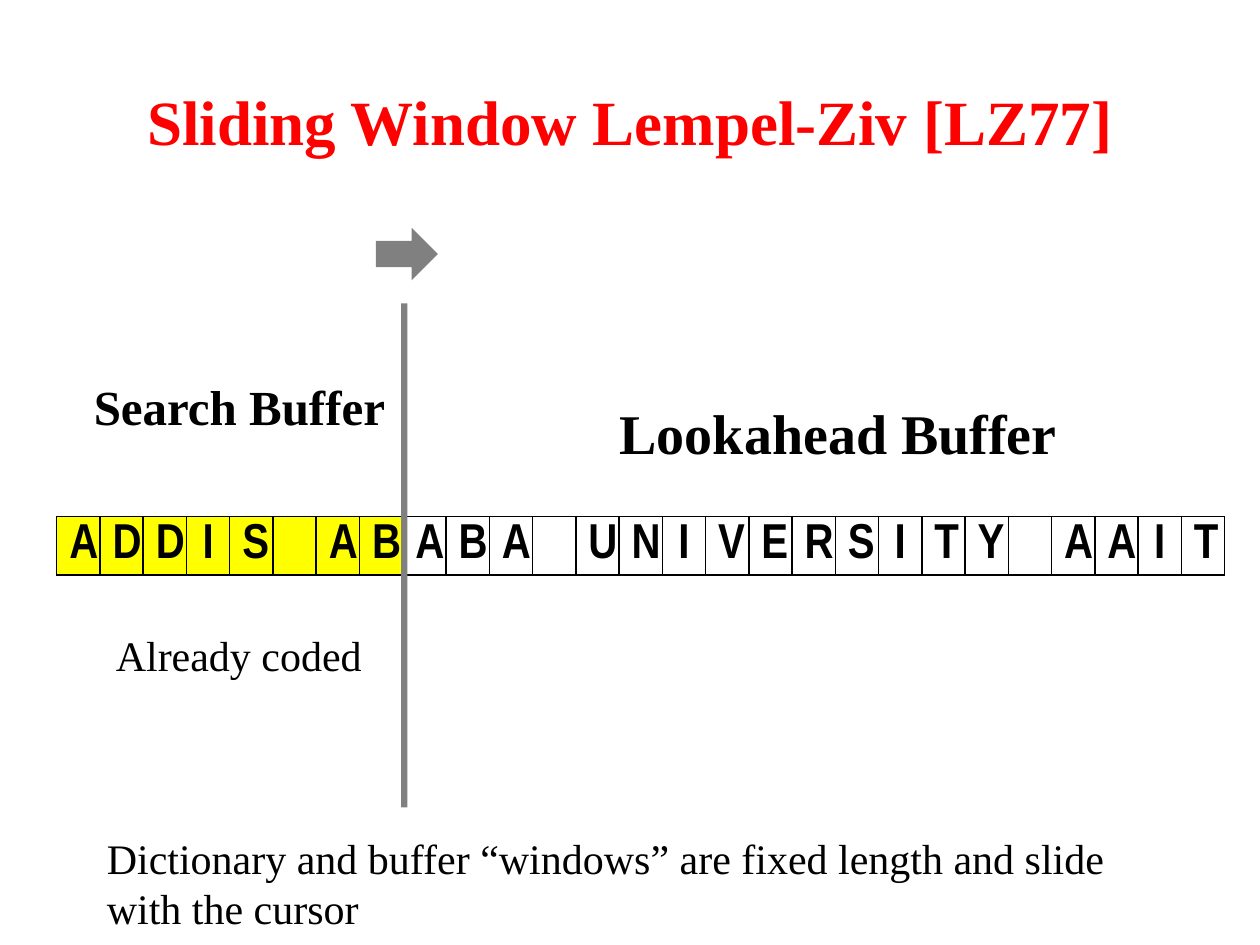
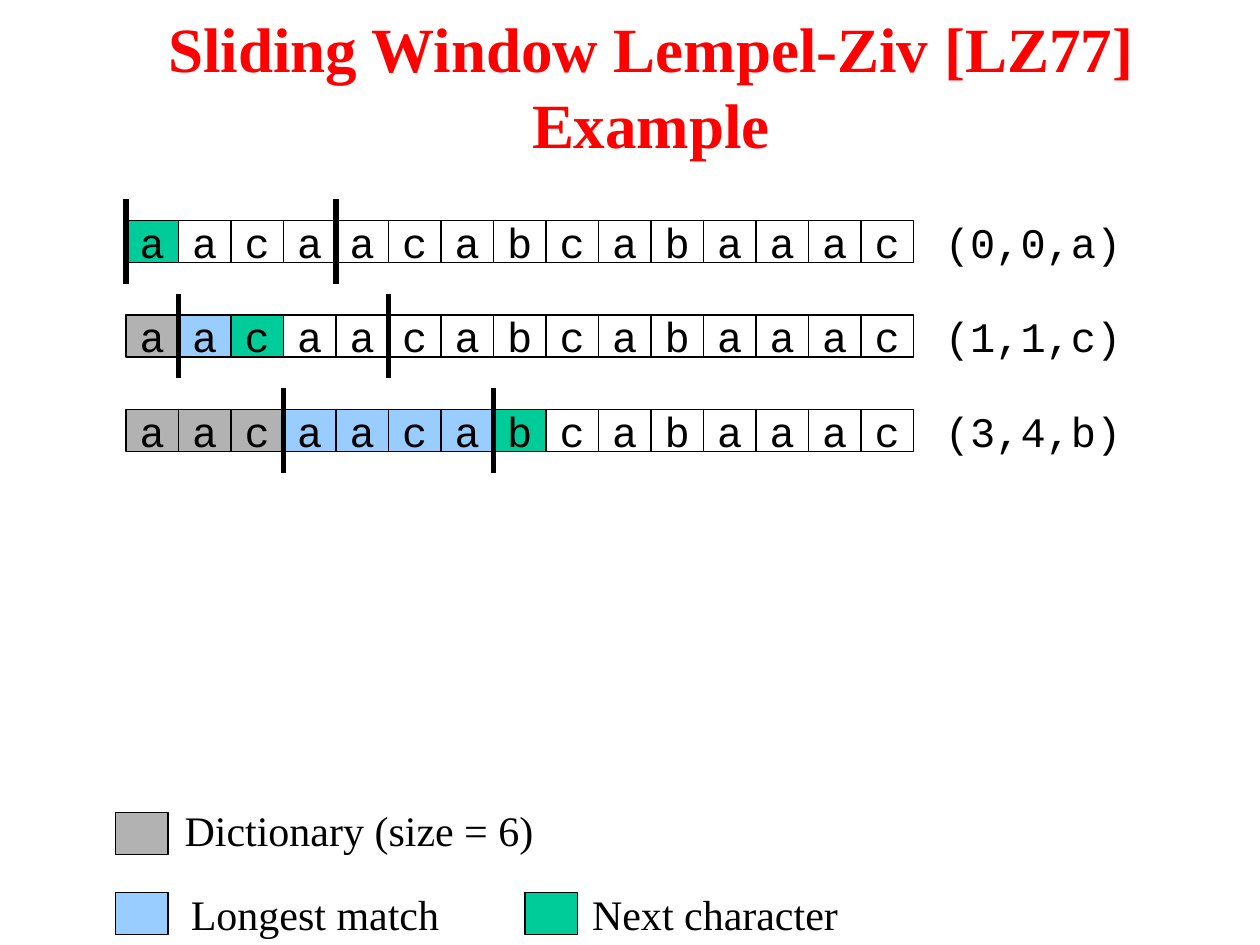
"""Build two slides on the sliding window Lempel-Ziv coder."""
from lxml import etree
from pptx import Presentation
from pptx.dml.color import RGBColor
from pptx.enum.shapes import MSO_CONNECTOR, MSO_SHAPE
from pptx.enum.text import MSO_ANCHOR, MSO_AUTO_SIZE, PP_ALIGN
from pptx.oxml.ns import qn
from pptx.util import Pt

RECT, ARROW = MSO_SHAPE.RECTANGLE, MSO_SHAPE.RIGHT_ARROW
LINE = MSO_CONNECTOR.STRAIGHT
LEFT, CENTER = PP_ALIGN.LEFT, PP_ALIGN.CENTER
MIDDLE = MSO_ANCHOR.MIDDLE
GROW, FIXED = MSO_AUTO_SIZE.SHAPE_TO_FIT_TEXT, MSO_AUTO_SIZE.NONE

BLACK = RGBColor(0, 0, 0)
WHITE = RGBColor(255, 255, 255)
RED = RGBColor(255, 0, 0)
YELLOW = RGBColor(255, 255, 0)
GRAY = RGBColor(128, 128, 128)
SILVER = RGBColor(178, 178, 178)
BLUE = RGBColor(153, 204, 255)
GREEN = RGBColor(0, 204, 153)
SERIF, NARROW, MONO = "Times New Roman", "Arial Narrow", "Courier New"

PX = 7620
WIDE, HIGH = 1200, 900

HEAD = "Sliding Window Lempel-Ziv [LZ77]"
STREAM = "ADDIS ABABA UNIVERSITY AAIT"
CODED = 8
STRIP = (54, 492, 1113, 55)
BAR = (382, 289, 6, 480)
CURSOR = (358, 217, 59, 50)
NOTES = [
    ("Lookahead Buffer", (544, 374, 509, 77), 32, True, CENTER),
    ("Search Buffer", (66, 353, 324, 68), 28, True, CENTER),
    ("Already coded", (86, 594, 283, 60), 24, False, CENTER),
    ("Dictionary and buffer “windows” are fixed length and slide with the cursor",
     (90, 787, 1042, 109), 24, False, LEFT),
]

INPUT = "aacaacabcabaaac"
STEPS = [(0, 0, "(0,0,a)"), (1, 1, "(1,1,c)"), (3, 4, "(3,4,b)")]
AHEAD = 4
CELL_W, CELL_H = 50, 40
GRID_X, GRID_Y, STEP_Y = 120, 210, 90
KEYS = [
    (SILVER, (110, 774), "Dictionary (size = 6)", (152, 760, 380, 60)),
    (BLUE, (110, 850), "Longest match", (160, 840, 280, 60)),
    (GREEN, (500, 850), "Next character", (551, 840, 260, 60)),
]


def emu(box):
    return [round(v * PX) for v in box]


def put(para, text, size, font=SERIF, color=BLACK, bold=False, align=CENTER):
    para.alignment = align
    run = para.add_run()
    run.text = text
    face = run.font
    face.size, face.name, face.bold = Pt(size), font, bold
    face.color.rgb = color


def start(deck, lines, box):
    slide = deck.slides.add_slide(deck.slide_layouts[5])
    title = slide.shapes.title
    title.left, title.top, title.width, title.height = emu(box)
    frame = title.text_frame
    frame.auto_size, frame.vertical_anchor = FIXED, MIDDLE
    para = frame.paragraphs[0]
    for i, line in enumerate(lines):
        if i:
            para.add_line_break()
        put(para, line, 36, color=RED, bold=True)
    return slide


def label(slide, text, box, size=24, bold=False, align=CENTER, font=SERIF, wrap=False):
    frame = slide.shapes.add_textbox(*emu(box)).text_frame
    frame.word_wrap, frame.auto_size = wrap, GROW
    put(frame.paragraphs[0], text, size, font, bold=bold, align=align)


def block(slide, kind, box, fill, edge=None):
    shape = slide.shapes.add_shape(kind, *emu(box))
    shape.shadow.inherit = False
    shape.fill.solid()
    shape.fill.fore_color.rgb = fill
    if edge is None:
        shape.line.fill.background()
    else:
        shape.line.color.rgb, shape.line.width = edge, Pt(0.75)
    return shape


def cell(slide, x, y, fill, text=""):
    frame = block(slide, RECT, (x, y, CELL_W, CELL_H), fill, BLACK).text_frame
    if text:
        frame.word_wrap, frame.vertical_anchor = False, MIDDLE
        put(frame.paragraphs[0], text, 24, MONO)


def rule(slide, x, top, end):
    line = slide.shapes.add_connector(LINE, *emu((x, top, x, end)))
    line.line.color.rgb, line.line.width = BLACK, Pt(3)
    etree.SubElement(line._element.spPr, qn("a:effectLst"))


def frame_cell(part):
    props = part._tc.get_or_add_tcPr()
    for i, side in enumerate(("lnL", "lnR", "lnT", "lnB")):
        edge = etree.Element(qn("a:" + side), w=str(Pt(1)))
        fill = etree.SubElement(edge, qn("a:solidFill"))
        etree.SubElement(fill, qn("a:srgbClr"), val=str(BLACK))
        props.insert(i, edge)


def strip(slide):
    table = slide.shapes.add_table(1, len(STREAM), *emu(STRIP)).table
    table.first_row = table.horz_banding = False
    for i, char in enumerate(STREAM):
        table.columns[i].width = round(STRIP[2] * PX / len(STREAM))
        part = table.cell(0, i)
        if i < CODED:
            part.fill.solid()
            part.fill.fore_color.rgb = YELLOW
        else:
            part.fill.background()
        frame_cell(part)
        if char != " ":
            put(part.text_frame.paragraphs[0], char, 28, NARROW, bold=True)


def window(deck):
    slide = start(deck, [HEAD], (90, 60, 1020, 110))
    strip(slide)
    block(slide, RECT, BAR, GRAY)
    block(slide, ARROW, CURSOR, GRAY)
    for text, box, size, bold, align in NOTES:
        label(slide, text, box, size, bold, align, wrap=True)


def shade(i, seen, match):
    if i < seen:
        return SILVER
    if i < seen + match:
        return BLUE
    return GREEN if i == seen + match else WHITE


def sample(deck):
    slide = start(deck, [HEAD, "Example"], (15, 26, 1210, 110))
    for row, (seen, match, code) in enumerate(STEPS):
        y = GRID_Y + row * STEP_Y
        for i, char in enumerate(INPUT):
            cell(slide, GRID_X + i * CELL_W, y, shade(i, seen, match), char)
        for i in (seen, seen + AHEAD):
            rule(slide, GRID_X + i * CELL_W, y - 20, y + 60)
        label(slide, code, (888, y - 10, 192, 60), font=MONO)
    for fill, (x, y), text, box in KEYS:
        cell(slide, x, y, fill)
        label(slide, text, box)


def main():
    deck = Presentation()
    deck.slide_width, deck.slide_height = emu((WIDE, HIGH))
    window(deck)
    sample(deck)
    deck.save("out.pptx")


if __name__ == "__main__":
    main()
